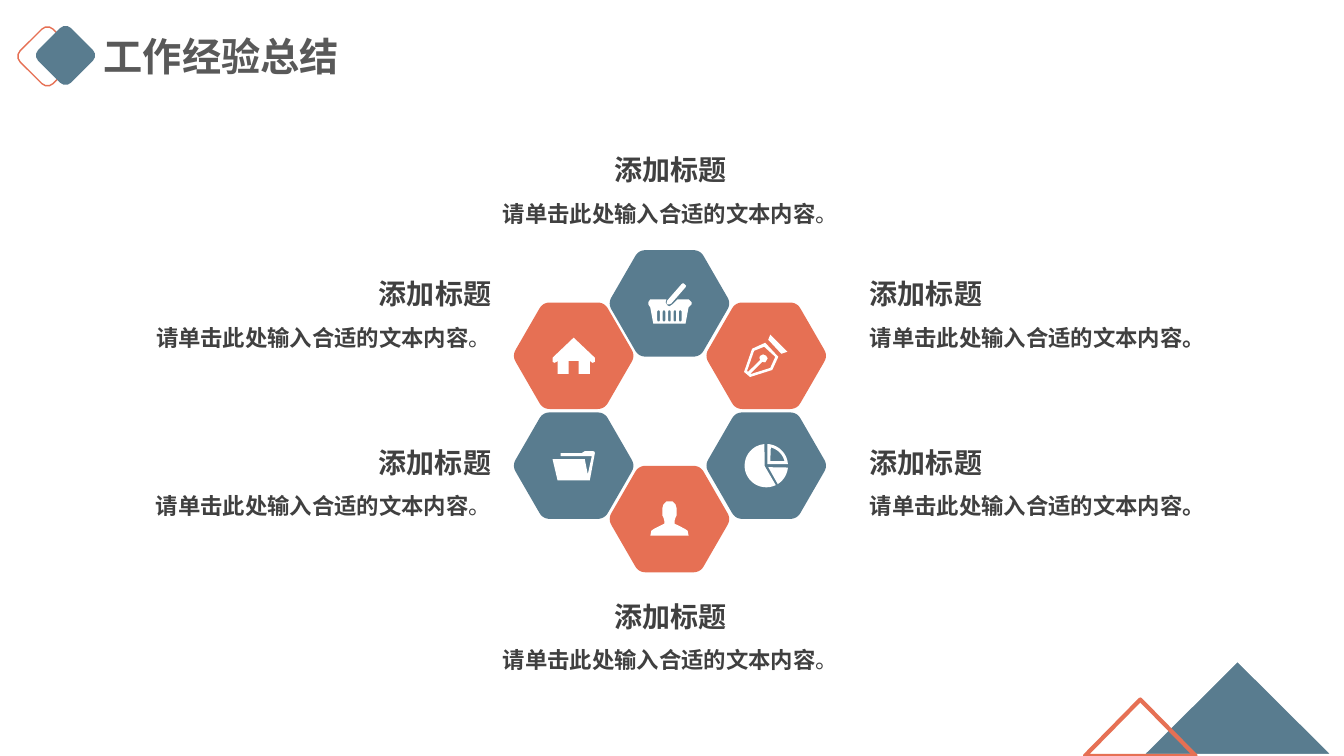
from dataclasses import dataclass
from math import cos, radians, sin

from lxml import etree
from pptx import Presentation
from pptx.dml.color import RGBColor
from pptx.enum.shapes import MSO_SHAPE as Shape
from pptx.enum.text import MSO_ANCHOR as Anchor, MSO_AUTO_SIZE as AutoSize, PP_ALIGN as Align
from pptx.oxml.ns import qn
from pptx.util import Inches, Pt

BLUE, ORANGE, WHITE = "597C8F", "E67054", "FFFFFF"
TITLE_GREY, TEXT_GREY = "595959", "404040"
FONT = "Noto Sans CJK SC"

Point = tuple[float, float]
Outline = list[Point]


@dataclass
class Preset:
    kind: Shape
    left: float
    top: float
    width: float
    height: float
    fill: str | None = None
    line: str | None = None
    line_width: float = 1
    rotation: float = 0


@dataclass
class Tile:
    """A hexagon and its icon; icon points are hundredths of an inch from its centre."""
    x: float
    y: float
    color: str
    icon: list[Outline]


@dataclass
class Caption:
    left: float
    top: float
    width: float
    align: Align
    bold_stop: bool = False


# Outline helpers
def arc(radius: float, start: float, end: float, steps: int = 24) -> Outline:
    angles = [radians(start + (end - start) * i / steps) for i in range(steps + 1)]
    return [(radius * cos(angle), radius * sin(angle)) for angle in angles]


def mirrored(right_half: Outline) -> Outline:
    return right_half + [(-x, y) for x, y in reversed(right_half)]


def rounded_hexagon(radius: float, cut: float, steps: int = 6) -> Outline:
    corners = arc(radius, 0, 300, 5)
    points = []
    for i, (x, y) in enumerate(corners):
        (px, py), (nx, ny) = corners[i - 1], corners[(i + 1) % 6]
        share = cut / radius
        for step in range(steps + 1):
            t = step / steps
            before, after = share * (1 - t) ** 2, share * t ** 2
            points.append((x + before * (px - x) + after * (nx - x),
                           y + before * (py - y) + after * (ny - y)))
    return points


# Icons
BASKET = [
    [(0, 1), (-2, 1), (-2.7, -1), (-2, -3), (12, -19), (13.5, -20), (15, -19),
     (16.5, -17.5), (16, -16), (2, 0)],
    [(22, -1), (22, 1), (19, 4), (16, 20), (-16, 20), (-19, 4), (-21, 1), (-21, -1),
     (-19, -4), (-3, -4), (-3.8, -1), (-2, 2), (0, 3), (3, 1), (8, -4), (19, -4)],
] + [
    [(5.4 * i + x, y) for x, y in mirrored([(0.7, 7), (1.3, 8), (1.3, 17), (0.7, 18)])]
    for i in range(-2, 3)
]
PEN = [
    [(4, -21), (21, -4), (15, -2), (2, -16)],
    [(12, 1), (-1, -13), (-14, -7), (-22, 16), (-16, 21), (6, 14)],
    [(-15, 18), (-16, 18), (-4, 6), (-1, 6.5), (0, 5), (1.4, 2.5), (0, 0), (-3, -1.4),
     (-6, 0), (-6.8, 2), (-6, 4), (-18, 16), (-19, 15), (-12, -5), (-2, -9), (9, 1), (4, 12)],
]
PIE = [
    arc(21.5, 64, 265) + [(-1.5, 0.5)],
    arc(21.5, -87, -4) + [(1, -1.5)],
    arc(18.6, -14, -76) + [(4, -4.5)],
    arc(21.5, 5, 58) + [(2, 1.5)],
]
PERSON = [mirrored([
    (3, -17.5), (6, -14.5), (7, -11), (7, -3.5), (6, -1.5), (5, 2), (5, 4.5),
    (9, 6.5), (15, 9.5), (18, 11.5), (19, 16.5)])]
FOLDER = [[
    (19, -14.5), (11, -14.5), (8, -12.5), (-13, -12.5), (-13, -9.5), (18, -9.5), (14, 8.5),
    (11, -6.5), (-21, -6.5), (-16, 14.5), (16, 14.5), (21, -12.5), (20.5, -14)]]
HOUSE = [mirrored([
    (0, -18), (21, 2), (21, 6), (19, 7), (17, 6), (16, 5), (16, 18), (5, 18), (5, 5)])]

# Slide content
PRESETS = [
    Preset(Shape.ROUNDED_RECTANGLE, 0.24, 0.33, 0.46, 0.46, line=ORANGE, rotation=45),
    Preset(Shape.ROUNDED_RECTANGLE, 0.42, 0.32, 0.46, 0.46, fill=BLUE, rotation=45),
    Preset(Shape.ISOSCELES_TRIANGLE, 11.31, 6.54, 1.93, 0.96, BLUE, WHITE, 3),
    Preset(Shape.ISOSCELES_TRIANGLE, 10.76, 6.94, 1.1, 0.56, None, ORANGE, 3),
]
TILES = [
    Tile(6.64, 3.01, BLUE, BASKET),
    Tile(7.6, 3.53, ORANGE, PEN),
    Tile(7.6, 4.62, BLUE, PIE),
    Tile(6.64, 5.15, ORANGE, PERSON),
    Tile(5.69, 4.62, BLUE, FOLDER),
    Tile(5.69, 3.53, ORANGE, HOUSE),
]
CAPTIONS = [
    Caption(4.56, 1.3, 4.18, Align.CENTER),
    Caption(8.53, 2.53, 4.93, Align.LEFT, bold_stop=True),
    Caption(8.53, 4.2, 5.04, Align.LEFT, bold_stop=True),
    Caption(4.56, 5.73, 4.18, Align.CENTER),
    Caption(0.09, 2.53, 4.88, Align.RIGHT),
    Caption(0.11, 4.2, 4.86, Align.RIGHT),
]


def rgb(color: str) -> RGBColor:
    return RGBColor.from_string(color)


def paint(shape, fill: str | None, line: str | None = None, width: float = 1) -> None:
    shape.shadow.inherit = False
    if fill:
        shape.fill.solid()
        shape.fill.fore_color.rgb = rgb(fill)
    else:
        shape.fill.background()
    if line:
        shape.line.color.rgb = rgb(line)
        shape.line.width = Pt(width)
    else:
        shape.line.fill.background()


def style(paragraph, size: float, color: str, align: Align) -> None:
    paragraph.alignment = align
    font = paragraph.font
    font.name, font.size, font.bold = FONT, Pt(size), True
    font.color.rgb = rgb(color)
    # East Asian text needs its own typeface entry
    properties = paragraph._p.pPr.find(qn("a:defRPr"))
    etree.SubElement(properties, qn("a:ea")).set("typeface", FONT)


def draw_preset(slide, item: Preset) -> None:
    shape = slide.shapes.add_shape(item.kind, Inches(item.left), Inches(item.top),
                                   Inches(item.width), Inches(item.height))
    shape.rotation = item.rotation
    paint(shape, item.fill, item.line, item.line_width)


def draw_outlines(slide, x: float, y: float, outlines: list[Outline], color: str) -> None:
    contours = [[(Inches(x + dx / 100), Inches(y + dy / 100)) for dx, dy in outline]
                for outline in outlines]
    builder = slide.shapes.build_freeform(*contours[0][0])
    for contour in contours:
        builder.move_to(*contour[0])
        builder.add_line_segments(contour[1:], close=True)
    paint(builder.convert_to_shape(), color)


def draw_caption(slide, caption: Caption) -> None:
    box = slide.shapes.add_textbox(Inches(caption.left), Inches(caption.top),
                                   Inches(caption.width), Inches(1.11))
    frame = box.text_frame
    frame.word_wrap = True
    frame.auto_size = AutoSize.SHAPE_TO_FIT_TEXT
    heading, body = frame.paragraphs[0], frame.add_paragraph()
    heading.add_run().text = "添加标题"
    body.add_run().text = "请单击此处输入合适的文本内容"
    stop = body.add_run()
    stop.text = "。"
    if not caption.bold_stop:
        stop.font.bold = False
    for paragraph, size in ((heading, 20), (body, 16)):
        paragraph.line_spacing = 1.5
        style(paragraph, size, TEXT_GREY, caption.align)


def draw_title(slide) -> None:
    title = slide.shapes.title
    title.left, title.top, title.width, title.height = map(Inches, (0.93, 0.27, 2.56, 0.57))
    frame = title.text_frame
    frame.text = "工作经验总结"
    frame.word_wrap = False
    frame.auto_size = AutoSize.SHAPE_TO_FIT_TEXT
    frame.vertical_anchor = Anchor.TOP
    style(frame.paragraphs[0], 28, TITLE_GREY, Align.LEFT)


def main() -> None:
    presentation = Presentation()
    presentation.slide_width, presentation.slide_height = Inches(13.33), Inches(7.5)
    slide = presentation.slides.add_slide(presentation.slide_layouts[5])
    draw_title(slide)
    for item in PRESETS:
        draw_preset(slide, item)
    hexagon = rounded_hexagon(61, 7)
    for tile in TILES:
        draw_outlines(slide, tile.x, tile.y, [hexagon], tile.color)
        draw_outlines(slide, tile.x, tile.y, tile.icon, WHITE)
    for caption in CAPTIONS:
        draw_caption(slide, caption)
    presentation.save("out.pptx")


if __name__ == "__main__":
    main()
